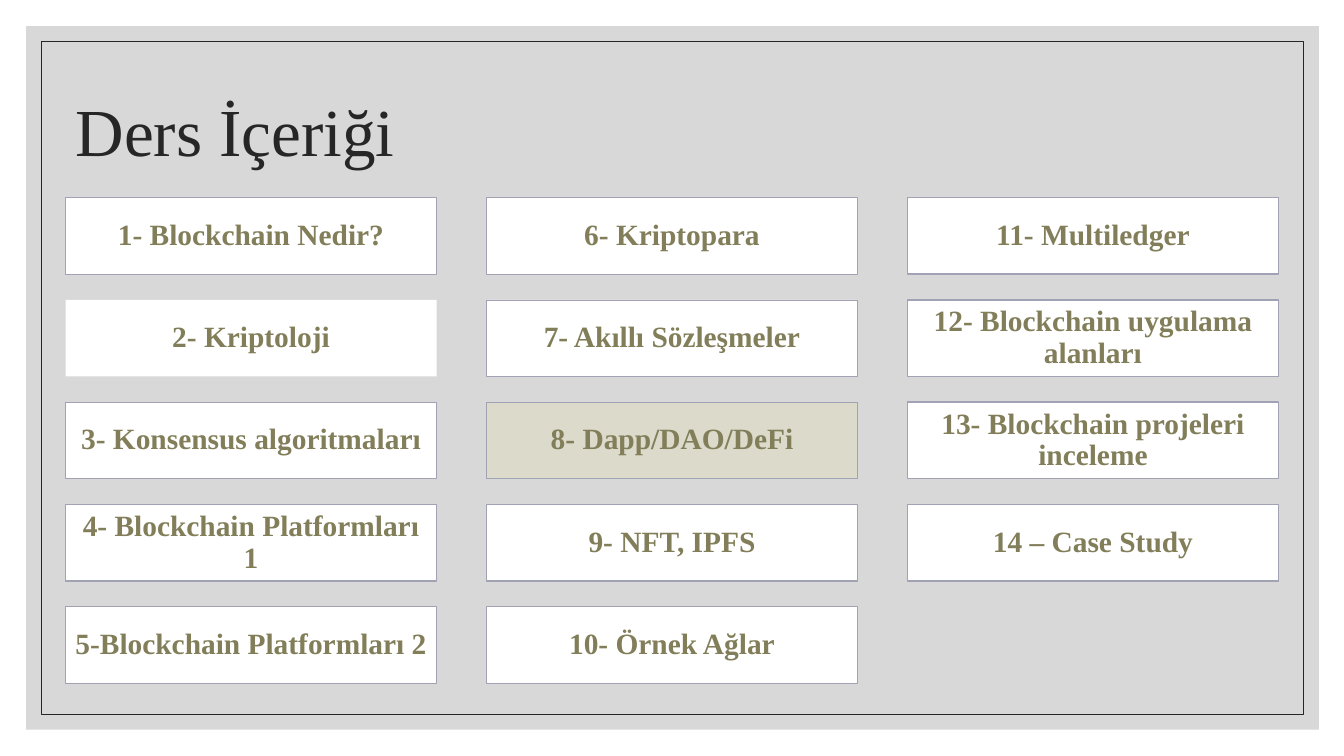
import pptx
import pptx.dml.color
import pptx.enum.shapes
import pptx.enum.text
import pptx.oxml
import pptx.oxml.ns
import pptx.util

PX = 9144  # EMU per px, 100 px to the inch
FONT = "Times New Roman"
ROWS = 5
TOPICS = [
    "1- Blockchain Nedir?",
    "2- Kriptoloji",
    "3- Konsensus algoritmaları",
    "4- Blockchain Platformları 1",
    "5-Blockchain Platformları 2",
    "6- Kriptopara",
    "7- Akıllı Sözleşmeler",
    "8- Dapp/DAO/DeFi",
    "9- NFT, IPFS",
    "10- Örnek Ağlar",
    "11- Multiledger",
    "12- Blockchain uygulama alanları",
    "13- Blockchain projeleri inceleme",
    "14 – Case Study",
]
HIGHLIGHTED = {8}
THIN_OUTLINE = {1, 3, 6, 7, 8}
NO_OUTLINE = {2}


def px(length):
    return pptx.util.Emu(round(length * PX))


def colour(hex_string):
    return pptx.dml.color.RGBColor.from_string(hex_string)


def add_rectangle(slide, box, fill=None, outline=None, weight=0):
    rectangle = slide.shapes.add_shape(
        pptx.enum.shapes.MSO_SHAPE.RECTANGLE, *map(px, box))
    rectangle.shadow.inherit = False
    if fill:
        rectangle.fill.solid()
        rectangle.fill.fore_color.rgb = colour(fill)
    else:
        rectangle.fill.background()
    if outline and weight:
        rectangle.line.color.rgb = colour(outline)
        rectangle.line.width = pptx.util.Pt(weight)
    else:
        rectangle.line.fill.background()
    return rectangle


def write_text(shape, text, size, hex_string, align, bold=False):
    frame = shape.text_frame
    frame.word_wrap = True
    frame.auto_size = pptx.enum.text.MSO_AUTO_SIZE.NONE
    frame.vertical_anchor = pptx.enum.text.MSO_ANCHOR.MIDDLE
    frame.text = text
    paragraph = frame.paragraphs[0]
    paragraph.alignment = align
    paragraph.line_spacing = 0.9
    paragraph.font.name = FONT
    paragraph.font.size = pptx.util.Pt(size)
    paragraph.font.bold = bold
    paragraph.font.color.rgb = colour(hex_string)
    return frame


def add_backdrop(slide, box):
    # Translucent grey panel with a thin frame inside it
    left, top, width, height = box
    panel = add_rectangle(slide, box, fill="BFBFBF")
    panel_colour = panel.element.spPr.find(".//" + pptx.oxml.ns.qn("a:srgbClr"))
    panel_colour.append(pptx.oxml.parse_xml(
        f'<a:alpha {pptx.oxml.ns.nsdecls("a")} val="60000"/>'))
    inset = 15
    add_rectangle(slide, (left + inset, top + inset,
                          width - 2 * inset, height - 2 * inset),
                  outline="262626", weight=0.5)


def add_heading(slide, box):
    heading = slide.shapes.title
    heading.left, heading.top, heading.width, heading.height = map(px, box)
    write_text(heading, "Ders İçeriği", 48, "262626",
               pptx.enum.text.PP_ALIGN.LEFT)
    # Bring the title in front of the backdrop
    slide.shapes.element.append(heading.element)


def add_topic(slide, box, number, text):
    weight = 0 if number in NO_OUTLINE else 0.5 if number in THIN_OUTLINE else 1
    card = add_rectangle(slide, box,
                         "DBDACB" if number in HIGHLIGHTED else "FFFFFF",
                         "A2A2B5", weight)
    frame = write_text(card, text, 21, "817E59",
                       pptx.enum.text.PP_ALIGN.CENTER, bold=True)
    frame.margin_left = frame.margin_right = px(8)
    frame.margin_top = frame.margin_bottom = px(9)


def add_topic_grid(slide, box):
    # Topics run down each column in turn
    left, top, width, height = box
    card_width, card_height = 368, 76
    column_step = (width - card_width) / 2
    row_step = (height - card_height) / (ROWS - 1)
    for index, text in enumerate(TOPICS):
        column, row = divmod(index, ROWS)
        add_topic(slide, (left + column * column_step, top + row * row_step,
                          card_width, card_height), index + 1, text)


def main():
    deck = pptx.Presentation()
    deck.slide_width, deck.slide_height = px(1333), px(750)
    slide = deck.slides.add_slide(deck.slide_layouts[5])
    add_backdrop(slide, (26, 26, 1282, 698))
    add_heading(slide, (65, 59, 1100, 150))
    add_topic_grid(slide, (65, 196, 1203, 482))
    deck.save("out.pptx")


if __name__ == "__main__":
    main()
